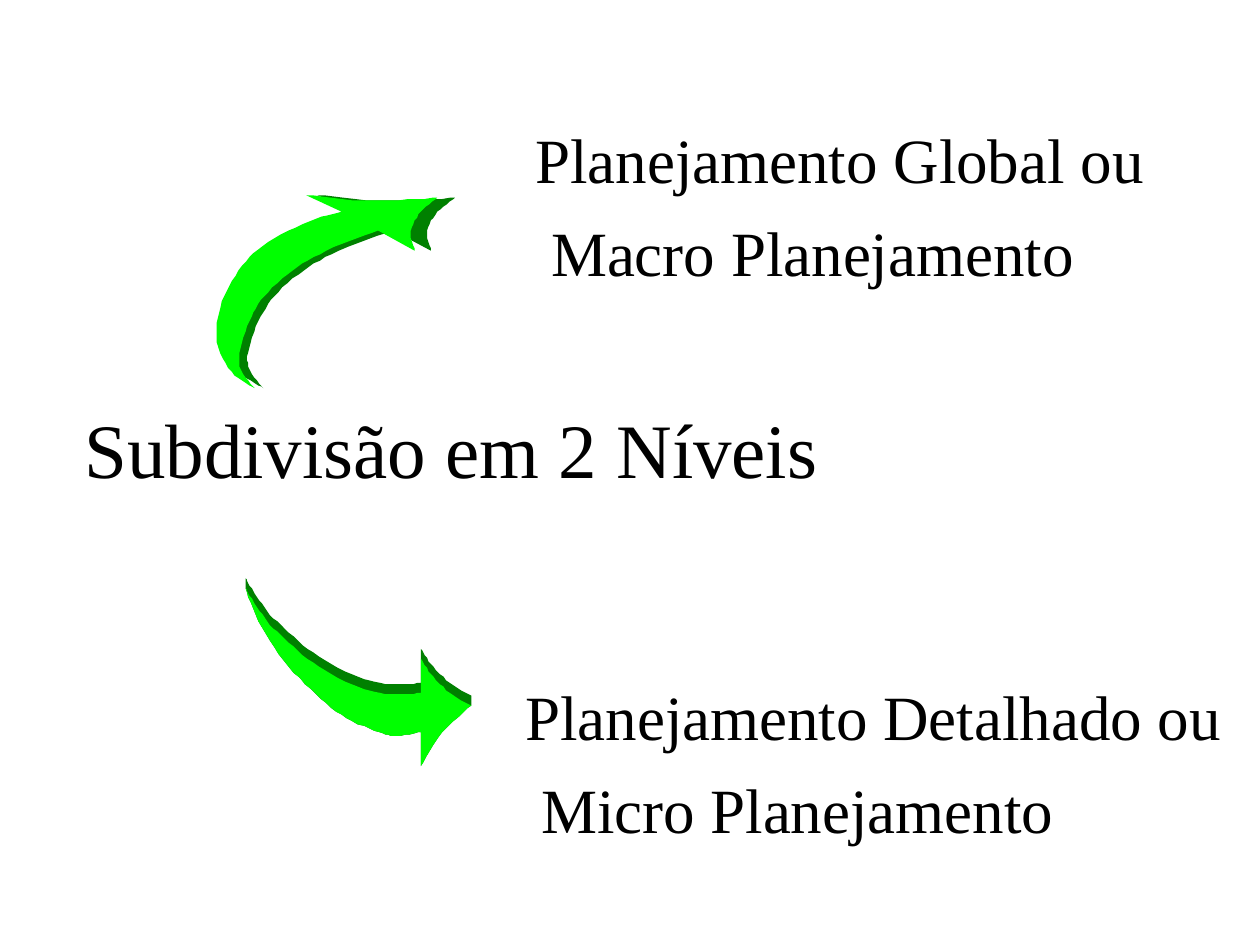
from pptx import Presentation
from pptx.dml.color import RGBColor
from pptx.util import Emu, Pt

PX = 9144  # 100 px to the inch
COLORS = {"text": "000000", "shade": "008000", "face": "00FF00"}

# Edges of the arrow faces: knots (x, y) in px, joined by smooth curves
UP = {
    "outer": [(202, 308), (186, 298), (174, 278), (172, 260), (178, 235),
              (192, 211), (213, 192), (245, 176), (271, 168)],
    "head_top": [(243, 155), (286, 159), (311, 159), (347, 157)],
    "head_front": [(347, 157), (334, 168), (326, 183), (329, 199)],
    "inner": [(300, 183), (259, 199), (232, 215), (210, 235),
              (198, 255), (190, 280), (192, 295), (202, 308)],
}
DOWN = {
    "outer": [(195, 467), (205, 493), (225, 524), (251, 551),
              (275, 570), (301, 581), (315, 584), (334, 581)],
    "head_bottom": [(334, 608), (351, 581), (374, 560)],
    "head_top": [(374, 560), (357, 550), (342, 535), (334, 523)],
    "inner": [(334, 550), (310, 551), (284, 545), (253, 529),
              (229, 510), (212, 493), (201, 477), (195, 467)],
}

# The up arrow's side is its face stretched sideways
FACE_LEFT, SHADE_LEFT, STRETCH = 172, 178, 1.046
# The down arrow's side shows above its upper edges
LIFT = 8
UPPER_EDGES = ("head_top", "inner")


def smooth(knots, steps=6):
    """Sample a Catmull-Rom curve through the knots."""
    padded = [knots[0], *knots, knots[-1]]
    points = [knots[0]]
    for a, b, c, d in zip(padded, padded[1:], padded[2:], padded[3:]):
        for step in range(1, steps + 1):
            t = step / steps
            points.append(tuple(
                (2 * q + (r - p) * t + (2 * p - 5 * q + 4 * r - s) * t**2
                 + (3 * q - p - 3 * r + s) * t**3) / 2
                for p, q, r, s in zip(a, b, c, d)))
    return points


def stretched(edges):
    return {name: [(SHADE_LEFT + (x - FACE_LEFT) * STRETCH, y) for x, y in knots]
            for name, knots in edges.items()}


def lifted(edges):
    return {name: [(x, y - LIFT * (name in UPPER_EDGES)) for x, y in knots]
            for name, knots in edges.items()}


class Deck:
    font = "Times New Roman"

    def __init__(self, width, height):
        self.prs = Presentation()
        self.prs.slide_width, self.prs.slide_height = Emu(width * PX), Emu(height * PX)
        self.s = self.prs.slides.add_slide(self.prs.slide_layouts[6])

    def arrow(self, face, shade):
        """Group a lit face over its darker side."""
        group = self.s.shapes.add_group_shape()
        for edges, color in ((shade, "shade"), (face, "face")):
            points = [point for knots in edges.values() for point in smooth(knots)]
            builder = group.shapes.build_freeform(*points[0], scale=PX)
            builder.add_line_segments(points[1:], close=True)
            sp = builder.convert_to_shape()
            sp.shadow.inherit = False
            sp.fill.solid()
            sp.fill.fore_color.rgb = RGBColor.from_string(COLORS[color])
            sp.line.fill.background()

    def text(self, x, y, w, h, lines, size):
        """Write lines; those after the first are indented by one space width."""
        sp = self.s.shapes.add_textbox(*(Emu(v * PX) for v in (x, y, w, h)))
        tf = sp.text_frame
        tf.word_wrap = True
        for i, line in enumerate(lines):
            p = tf.paragraphs[0] if i == 0 else tf.add_paragraph()
            p.text = line
            if i:
                p.space_before = Pt(10)
                p._p.get_or_add_pPr().set("marL", str(Pt(size / 4)))
            for r in p.runs:
                r.font.name = self.font
                r.font.size = Pt(size)
                r.font.color.rgb = RGBColor.from_string(COLORS["text"])


def main():
    deck = Deck(1000, 750)

    # Arrows to the two levels
    deck.arrow(UP, stretched(UP))
    deck.arrow(DOWN, lifted(DOWN))

    # Two levels, each in two lines
    for x, y, w, scope, prefix in ((407, 533, 585, "Detalhado", "Micro"),
                                   (415, 91, 515, "Global", "Macro")):
        lines = [f"Planejamento {scope} ou", f"{prefix} Planejamento"]
        deck.text(x, y, w, 139, lines, size=36)

    # Central statement
    deck.text(57, 314, 615, 80, ["Subdivisão em 2 Níveis"], size=44)

    deck.prs.save("out.pptx")


if __name__ == "__main__":
    main()
